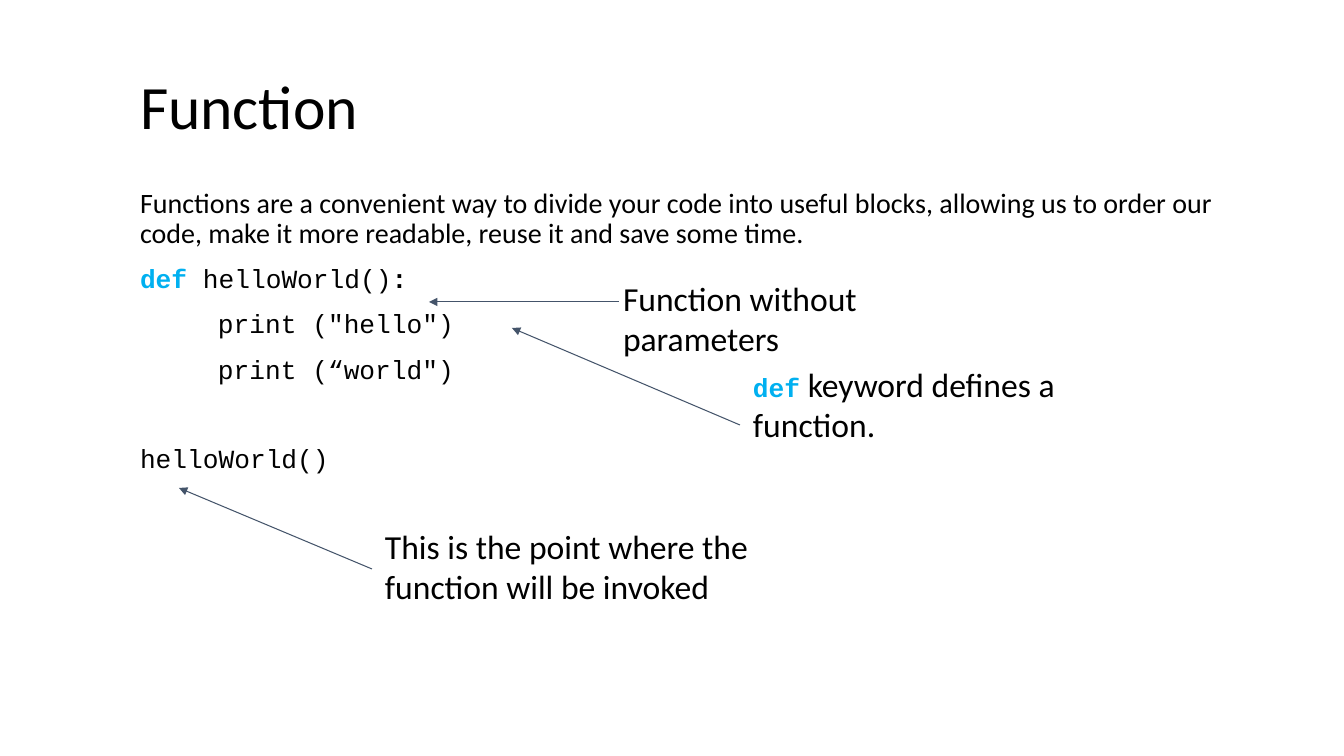
"""Builds a slide that explains a Python function with annotated code."""
import pptx
import pptx.dml.color
import pptx.enum.shapes
import pptx.enum.text
import pptx.oxml
import pptx.util

BLACK = pptx.dml.color.RGBColor(0x00, 0x00, 0x00)
KEYWORD_BLUE = pptx.dml.color.RGBColor(0x00, 0xB0, 0xF0)
ARROW_SLATE = pptx.dml.color.RGBColor(0x44, 0x54, 0x6A)
EMU_PER_PIXEL = 914400 / 100.8
INSET = 13
CODE_INDENT = 78
LEFT, WIDTH = 127, 1102

TITLE = ("Calibri", 44, BLACK, False)
PROSE = ("Calibri", 20, BLACK, False)
NOTE = ("Calibri", 24, BLACK, False)
CODE = ("Courier New", 18.7, BLACK, False)
CODE_BOLD = ("Courier New", 18.7, BLACK, True)
KEYWORD = ("Courier New", 18.7, KEYWORD_BLUE, True)


def pixels(length):
    return pptx.util.Emu(round(length * EMU_PER_PIXEL))


class SlideWriter:
    def __init__(self, page):
        self.page = page

    def fill_frame(self, box, paragraphs, anchor, line_spacing):
        frame = box.text_frame
        frame.word_wrap = True
        frame.auto_size = pptx.enum.text.MSO_AUTO_SIZE.NONE
        frame.vertical_anchor = anchor
        frame.margin_left = frame.margin_right = pixels(INSET)
        frame.margin_top = frame.margin_bottom = pixels(INSET)
        for index, (spans, indent, space_before) in enumerate(paragraphs):
            para = frame.add_paragraph() if index else frame.paragraphs[0]
            para.alignment = pptx.enum.text.PP_ALIGN.LEFT
            para.line_spacing = line_spacing
            para.space_before = pptx.util.Pt(space_before)
            if indent:
                para._p.get_or_add_pPr().set("marL", str(pixels(indent)))
            for text, (font, size, color, bold) in spans:
                span = para.add_run()
                span.text = text
                span.font.name = font
                span.font.size = pptx.util.Pt(size)
                span.font.color.rgb = color
                span.font.bold = bold

    def title(self, text, left, top, width, height):
        box = self.page.shapes.title
        box.left, box.top = pixels(left), pixels(top)
        box.width, box.height = pixels(width), pixels(height)
        self.fill_frame(box, [([(text, TITLE)], 0, 0)],
                        pptx.enum.text.MSO_ANCHOR.BOTTOM, 0.9)

    def text(self, paragraphs, left, top, width, height, line_spacing=1.0):
        box = self.page.shapes.add_textbox(*map(pixels, (left, top, width, height)))
        self.fill_frame(box, paragraphs, pptx.enum.text.MSO_ANCHOR.TOP, line_spacing)

    def note(self, spans, *place):
        self.text([(spans, 0, 0)], *place)

    def arrow(self, *ends):
        arrow = self.page.shapes.add_connector(
            pptx.enum.shapes.MSO_CONNECTOR.STRAIGHT, *map(pixels, ends))
        arrow.line.color.rgb = ARROW_SLATE
        arrow.line.width = pptx.util.Pt(0.75)
        namespace = pptx.oxml.ns.nsdecls("a")
        arrow.line._get_or_add_ln().append(
            pptx.oxml.parse_xml(f'<a:tailEnd {namespace} type="triangle"/>'))
        arrow._element.spPr.append(pptx.oxml.parse_xml(f"<a:effectLst {namespace}/>"))


deck = pptx.Presentation()
deck.slide_width, deck.slide_height = pixels(1344), pixels(756)
writer = SlideWriter(deck.slides.add_slide(deck.slide_layouts[5]))

writer.title("Function", LEFT, 30, WIDTH, 126)
writer.text([
    ([("Functions are a convenient way to divide your code into useful blocks, "
       "allowing us to order our code, make it more readable, reuse it and save "
       "some time.", PROSE)], 0, 0),
    ([("def ", KEYWORD), ("helloWorld()", CODE), (":", CODE_BOLD)], 0, 12),
    ([('print ("hello")', CODE)], CODE_INDENT, 12),
    ([('print (“world")', CODE)], CODE_INDENT, 12),
    ([("helloWorld()", CODE)], 0, 44),
], LEFT, 176, WIDTH, 521, line_spacing=0.9)

writer.note([("def", KEYWORD), (" keyword defines a function.", NOTE)], 740, 351, 404, 149)
writer.note([("This is the point where the function will be invoked", NOTE)],
            372, 513, 397, 112)
writer.note([("Function without parameters", NOTE)], 610, 265, 388, 55)

writer.arrow(740, 425, 512, 328)
writer.arrow(372, 569, 179, 488)
writer.arrow(619, 302, 429, 302)

deck.save("out.pptx")
